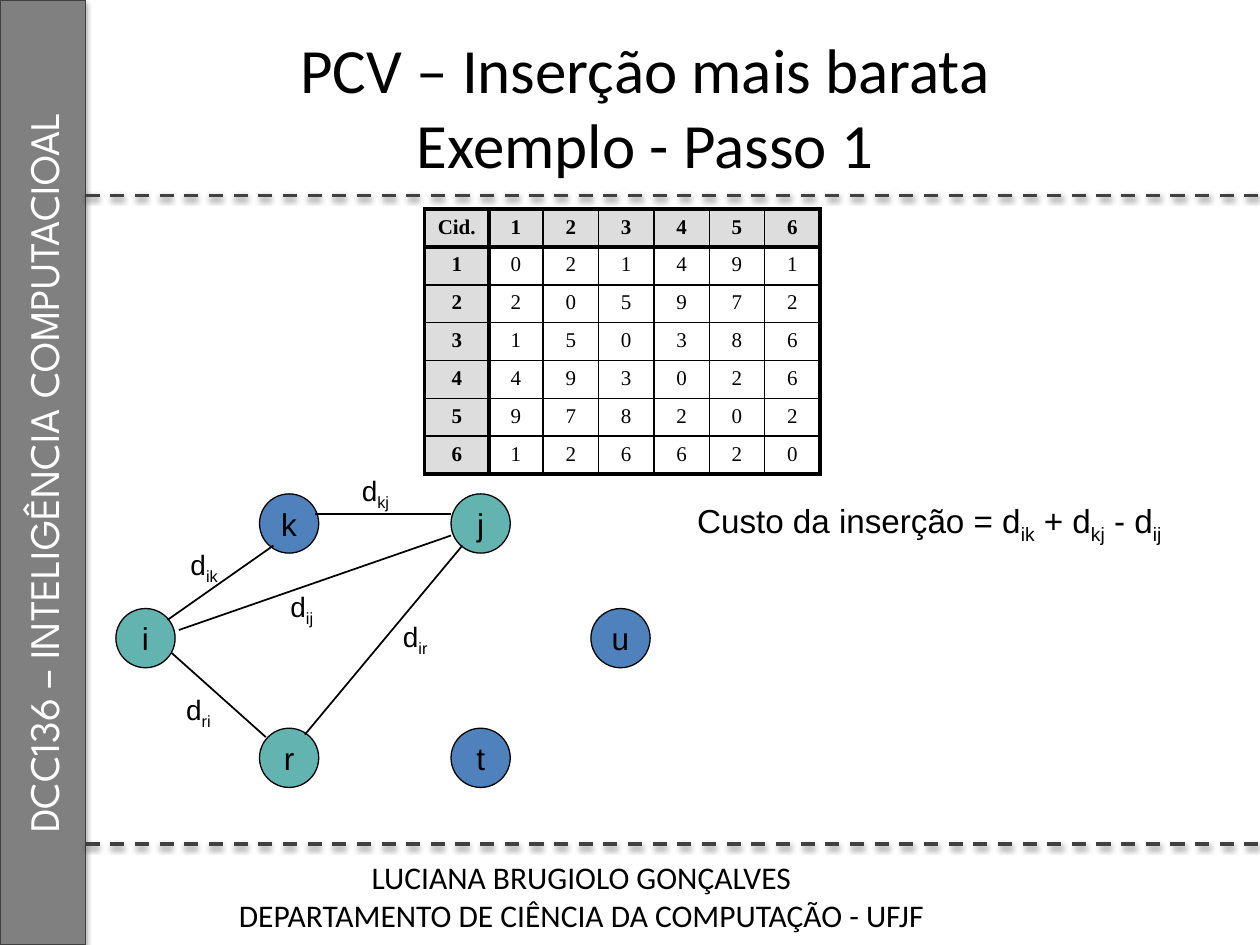
from dataclasses import dataclass

from lxml import etree
from pptx import Presentation
from pptx.dml.color import RGBColor
from pptx.enum.dml import MSO_LINE
from pptx.enum.shapes import MSO_CONNECTOR, MSO_SHAPE
from pptx.enum.text import MSO_ANCHOR, PP_ALIGN
from pptx.oxml.ns import qn
from pptx.util import Inches, Pt

STRAIGHT = MSO_CONNECTOR.STRAIGHT
RECTANGLE = MSO_SHAPE.RECTANGLE
OVAL = MSO_SHAPE.OVAL
DASH = MSO_LINE.DASH
MIDDLE = MSO_ANCHOR.MIDDLE
TOP = MSO_ANCHOR.TOP
CENTER = PP_ALIGN.CENTER


@dataclass(frozen=True)
class Theme:
    black: str = "000000"
    white: str = "FFFFFF"
    sidebar: str = "808080"
    rule: str = "404040"
    header: str = "DDDDDD"
    outside: str = "4F81BD"
    in_route: str = "63B3B1"
    heading_font: str = "Calibri"
    sidebar_font: str = "League Spartan"
    graph_font: str = "Arial"
    table_font: str = "Times New Roman"
    title_size: float = 36
    sidebar_size: float = 24
    formula_size: float = 19
    body_size: float = 18
    label_size: float = 16
    table_size: float = 12
    thin: float = 1
    thick: float = 2.25


THEME = Theme()

DISTANCES = [
    [0, 2, 1, 4, 9, 1],
    [2, 0, 5, 9, 7, 2],
    [1, 5, 0, 3, 8, 6],
    [4, 9, 3, 0, 2, 6],
    [9, 7, 8, 2, 0, 2],
    [1, 2, 6, 6, 2, 0],
]
NODES = [
    ("k", 2.06, 3.92, THEME.outside),
    ("t", 3.58, 5.78, THEME.outside),
    ("u", 4.69, 4.83, THEME.outside),
    ("j", 3.58, 3.92, THEME.in_route),
    ("r", 2.06, 5.78, THEME.in_route),
    ("i", 0.92, 4.83, THEME.in_route),
]
EDGES = [
    (1.42, 5, 3.58, 4.25),
    (3.67, 4.33, 2.42, 5.83),
    (1.36, 5.18, 2.11, 5.85),
    (1.33, 4.92, 2.17, 4.33),
    (2.5, 4.08, 3.58, 4.08),
]
EDGE_LABELS = [
    ("ij", 2.2, 4.63, 0.39),
    ("ir", 3.09, 4.87, 0.41),
    ("ri", 1.37, 5.45, 0.41),
    ("ik", 1.4, 4.3, 0.44),
    ("kj", 2.76, 3.71, 0.44),
]


def rgb(color):
    return RGBColor.from_string(color)


def style(paragraph, font, size, color=THEME.black, bold=False):
    paragraph.alignment = CENTER
    paragraph.font.name = font
    paragraph.font.size = Pt(size)
    paragraph.font.bold = bold
    paragraph.font.color.rgb = rgb(color)


def add_effects(element, opacity=None, distance=0):
    effects = etree.SubElement(element._element.spPr, qn("a:effectLst"))
    if opacity:
        shadow = etree.SubElement(
            effects, qn("a:outerShdw"), blurRad=str(Pt(3.1)),
            dist=str(Pt(distance)), dir="5400000", rotWithShape="0")
        tint = etree.SubElement(shadow, qn("a:srgbClr"), val=THEME.black)
        etree.SubElement(tint, qn("a:alpha"), val=str(opacity * 1000))


def add_line(slide, ends, color, width):
    line = slide.shapes.add_connector(STRAIGHT, *map(Inches, ends))
    line.line.color.rgb = rgb(color)
    line.line.width = Pt(width)
    return line


def add_rule(slide, y):
    rule = add_line(slide, (0.68, y, 10, y), THEME.rule, 2)
    rule.line.dash_style = DASH
    add_effects(rule, opacity=38, distance=1.6)


def add_edge(slide, ends):
    add_effects(add_line(slide, ends, THEME.black, THEME.thin))


def add_panel(slide, kind, box, fill, outline):
    panel = slide.shapes.add_shape(kind, *map(Inches, box))
    panel.fill.solid()
    panel.fill.fore_color.rgb = rgb(fill)
    panel.line.color.rgb = rgb(outline)
    panel.line.width = Pt(0.75)
    panel.text_frame.vertical_anchor = MIDDLE
    return panel


def add_sidebar(slide, text):
    sidebar = add_panel(slide, RECTANGLE, (-3.41, 3.41, 7.5, 0.68),
                        THEME.sidebar, THEME.rule)
    sidebar.rotation = 270
    add_effects(sidebar, opacity=35, distance=1.8)
    sidebar.text_frame.text = text
    style(sidebar.text_frame.paragraphs[0], THEME.sidebar_font,
          THEME.sidebar_size, THEME.white)


def add_node(slide, name, x, y, fill):
    node = add_panel(slide, OVAL, (x, y, 0.47, 0.47), fill, THEME.black)
    node.shadow.inherit = False
    node.text_frame.word_wrap = False
    node.text_frame.text = name
    style(node.text_frame.paragraphs[0], THEME.graph_font, THEME.body_size)


def add_text(slide, box, text, font, size, anchor=TOP):
    frame = slide.shapes.add_textbox(*map(Inches, box)).text_frame
    frame.word_wrap = True
    frame.vertical_anchor = anchor
    frame.text = text
    for paragraph in frame.paragraphs:
        style(paragraph, font, size)


def add_formula(slide, box, terms, size, wrap):
    frame = slide.shapes.add_textbox(*map(Inches, box)).text_frame
    frame.word_wrap = wrap
    paragraph = frame.paragraphs[0]
    style(paragraph, THEME.graph_font, size)
    for base, subscript in terms:
        paragraph.add_run().text = base
        index = paragraph.add_run()
        index.text = subscript
        index.font._element.set("baseline", "-25000")


def add_borders(cell, row, column, count):
    heavy = (0, 1, count)
    edges = {"a:lnL": column, "a:lnR": column + 1,
             "a:lnT": row, "a:lnB": row + 1}
    properties = cell._tc.get_or_add_tcPr()
    for tag, position in edges.items():
        width = THEME.thick if position in heavy else THEME.thin
        border = etree.SubElement(properties, qn(tag), w=str(Pt(width)))
        fill = etree.SubElement(border, qn("a:solidFill"))
        etree.SubElement(fill, qn("a:srgbClr"), val=THEME.black)


def add_distance_table(slide):
    cities = list(range(1, len(DISTANCES) + 1))
    rows = [["Cid.", *cities]]
    rows += [[city, *values] for city, values in zip(cities, DISTANCES)]
    count = len(rows)
    table = slide.shapes.add_table(
        count, count, *map(Inches, (3.37, 1.66, 3.12, 2.1))).table
    table.first_row = table.horz_banding = False
    for column, width in zip(table.columns, [0.51, 0.43] + [0.44] * 5):
        column.width = Inches(width)
    for r, values in enumerate(rows):
        table.rows[r].height = Inches(0.3)
        for c, value in enumerate(values):
            cell = table.cell(r, c)
            is_header = r == 0 or c == 0
            cell.margin_left = cell.margin_right = Inches(0.05)
            add_borders(cell, r, c, count)
            cell.fill.solid()
            cell.fill.fore_color.rgb = rgb(
                THEME.header if is_header else THEME.white)
            cell.text = str(value)
            style(cell.text_frame.paragraphs[0], THEME.table_font,
                  THEME.table_size, bold=is_header)


def main():
    deck = Presentation()
    deck.slide_width, deck.slide_height = Inches(10), Inches(7.5)
    slide = deck.slides.add_slide(deck.slide_layouts[6])
    add_sidebar(slide, "DCC136 – INTELIGÊNCIA COMPUTACIOAL")
    for y in (1.55, 6.7):
        add_rule(slide, y)
    add_text(slide, (1.11, 6.76, 7.01, 0.71),
             "LUCIANA BRUGIOLO GONÇALVES\n"
             "DEPARTAMENTO DE CIÊNCIA DA COMPUTAÇÃO - UFJF",
             THEME.heading_font, THEME.body_size)
    for node in NODES:
        add_node(slide, *node)
    add_distance_table(slide)
    add_formula(slide, (5.25, 3.92, 4.25, 0.42),
                [("Custo da inserção = d", "ik"), (" + d", "kj"), (" - d", "ij")],
                THEME.formula_size, wrap=True)
    for ends in EDGES:
        add_edge(slide, ends)
    for subscript, x, y, width in EDGE_LABELS:
        add_formula(slide, (x, y, width, 0.37), [("d", subscript)],
                    THEME.label_size, wrap=False)
    add_text(slide, (0.75, 0.22, 8.74, 1.24),
             "PCV – Inserção mais barata\vExemplo - Passo 1",
             THEME.heading_font, THEME.title_size, MIDDLE)
    deck.save("out.pptx")


if __name__ == "__main__":
    main()
